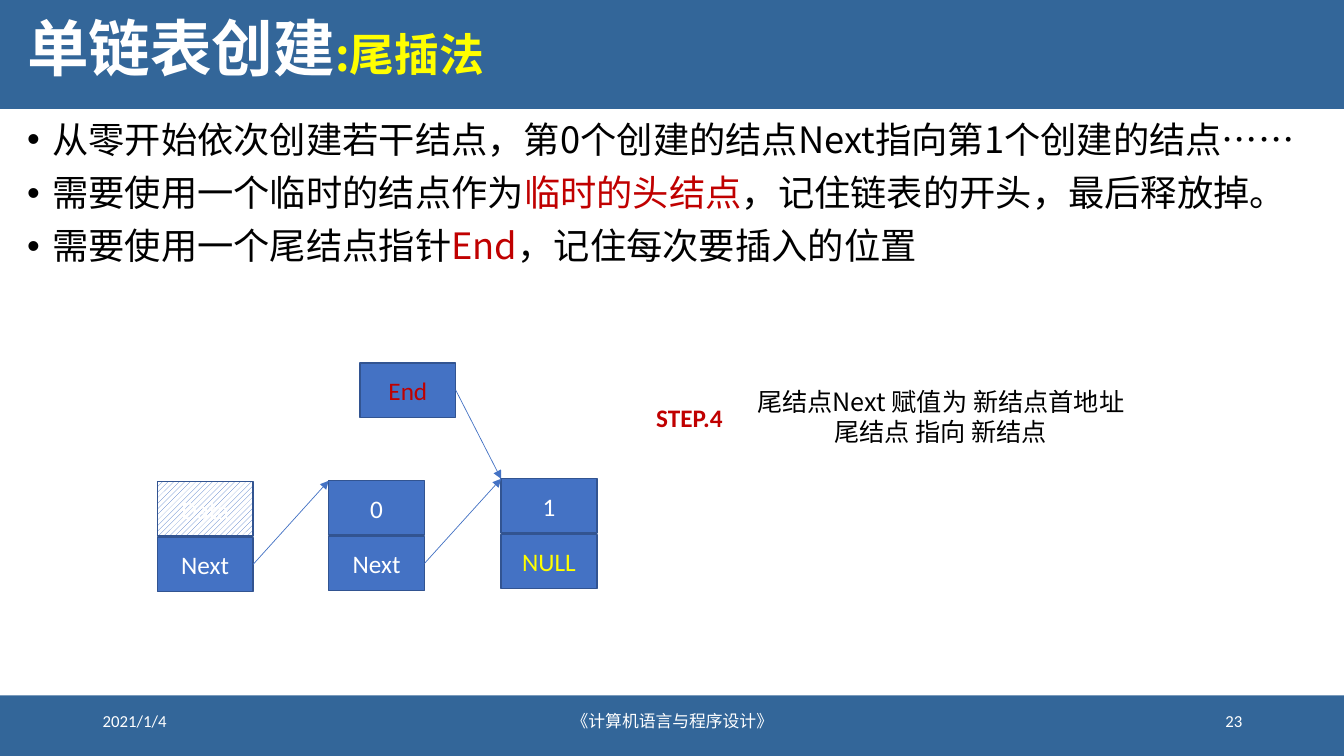
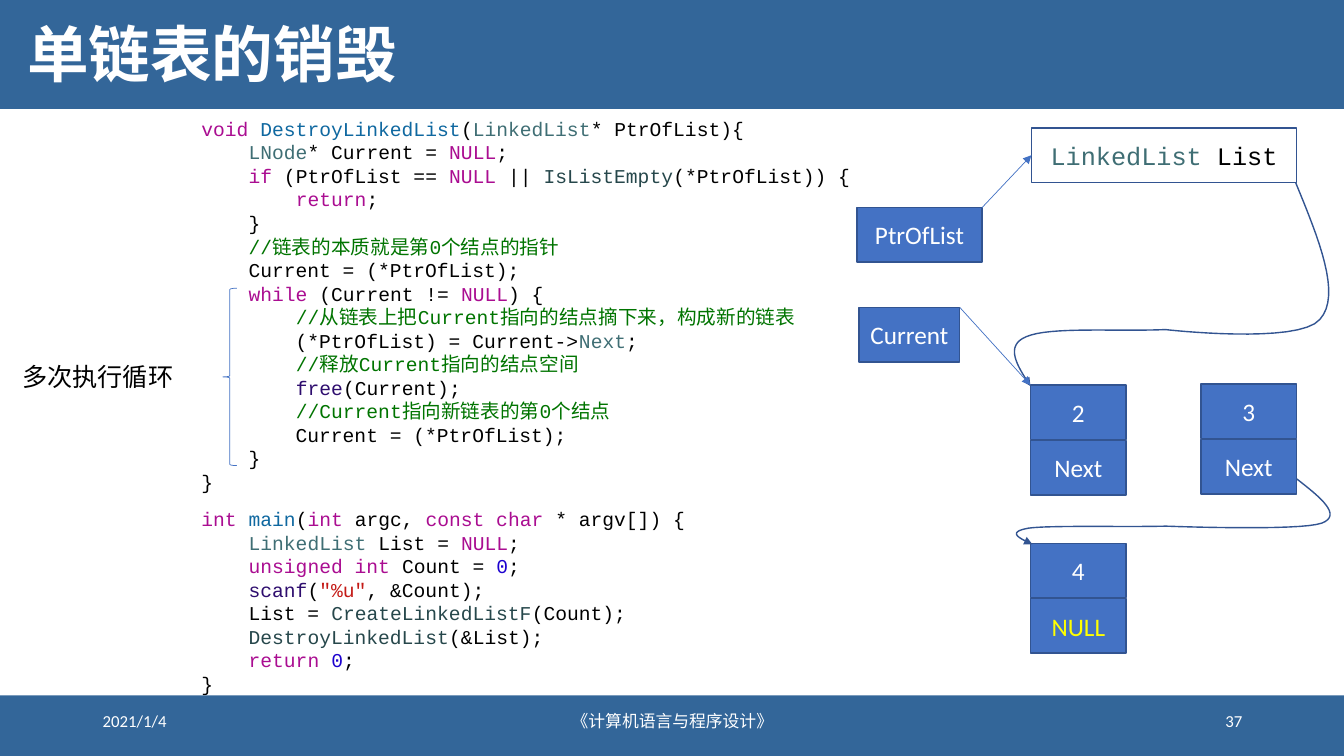
from lxml import etree
from pptx import Presentation
from pptx.dml.color import RGBColor
from pptx.enum.dml import MSO_PATTERN
from pptx.enum.shapes import MSO_CONNECTOR, MSO_SHAPE
from pptx.enum.text import MSO_ANCHOR, PP_ALIGN
from pptx.oxml.ns import qn
from pptx.util import Inches, Pt

STRAIGHT = MSO_CONNECTOR.STRAIGHT
RECTANGLE, LEFT_BRACE = MSO_SHAPE.RECTANGLE, MSO_SHAPE.LEFT_BRACE
DIAGONALS = MSO_PATTERN.WIDE_UPWARD_DIAGONAL
LEFT, CENTER, RIGHT = PP_ALIGN.LEFT, PP_ALIGN.CENTER, PP_ALIGN.RIGHT
TOP, MIDDLE = MSO_ANCHOR.TOP, MSO_ANCHOR.MIDDLE
SIDE_LEFT, SIDE_RIGHT = 1, 3

WIDTH, HEIGHT = 13.33, 7.5
BAND, BLUE, EDGE = "336699", "4472C4", "325491"
WHITE, BLACK, YELLOW, RED = "FFFFFF", "000000", "FFFF00", "C00000"
SANS, CODE, HAN = "Calibri", "Courier New", "Noto Sans CJK SC"
CELL_WIDTH, CELL_HEIGHT = 0.95, 0.54
CELL_STEP = 0.55

KEYWORD, DECLARED, TYPE, CALL = "AA0D91", "0F68A0", "3F6E74", "26474B"
LIBRARY, COMMENT, NUMBER, STRING = "2E0D6E", "007400", "1C00CF", "C41A16"

DATE, COURSE = "2021/1/4", "《计算机语言与程序设计》"

INSERT_TITLE = [("单链表创建", WHITE), (":尾插法", YELLOW, 32)]
INSERT_POINTS = [
    ["从零开始依次创建若干结点，第0个创建的结点Next指向第1个创建的结点……"],
    ["需要使用一个临时的结点作为", ("临时的头结点", RED), "，记住链表的开头，最后释放掉。"],
    ["需要使用一个尾结点指针", ("End", RED), "，记住每次要插入的位置"],
]
INSERT_STEP = [("STEP.4", RED)]
INSERT_NOTE = [["尾结点Next 赋值为 新结点首地址"], ["尾结点 指向 新结点"]]
INSERT_NODES = [
    (1.56, 4.78, "Data", "Next"),
    (3.26, 4.77, "0", "Next"),
    (4.97, 4.75, "1", "NULL"),
]

DESTROY_TITLE = [("单链表的销毁", WHITE)]
DESTROY_LOOP = "多次执行循环"
DESTROY_CODE = [
    [("void ", KEYWORD), ("DestroyLinkedList", DECLARED), "(", ("LinkedList", TYPE),
     "* PtrOfList){"],
    ["    ", ("LNode", TYPE), "* Current = ", ("NULL", KEYWORD), ";"],
    ["    ", ("if", KEYWORD), " (PtrOfList == ", ("NULL", KEYWORD), " || ",
     ("IsListEmpty", CALL), "(*PtrOfList)) {"],
    ["        ", ("return", KEYWORD), ";"],
    ["    }"],
    ["    ", ("//链表的本质就是第0个结点的指针", COMMENT)],
    ["    Current = (*PtrOfList);"],
    ["    ", ("while", KEYWORD), " (Current != ", ("NULL", KEYWORD), ") {"],
    ["        ", ("//从链表上把Current指向的结点摘下来，构成新的链表", COMMENT)],
    ["        (*PtrOfList) = Current->", ("Next", TYPE), ";"],
    ["        ", ("//释放Current指向的结点空间", COMMENT)],
    ["        ", ("free", LIBRARY), "(Current);"],
    ["        ", ("//Current指向新链表的第0个结点", COMMENT)],
    ["        Current = (*PtrOfList);"],
    ["    }"],
    ["}"],
]
MAIN_CODE = [
    [("int ", KEYWORD), ("main", DECLARED), "(", ("int ", KEYWORD), "argc, ",
     ("const char", KEYWORD), " * argv[]) {"],
    ["    ", ("LinkedList", TYPE), " List = ", ("NULL", KEYWORD), ";"],
    ["    ", ("unsigned int", KEYWORD), " Count = ", ("0", NUMBER), ";"],
    ["    ", ("scanf", LIBRARY), "(", ('"%u"', STRING), ", &Count);"],
    ["    List = ", ("CreateLinkedListF", CALL), "(Count);"],
    ["    ", ("DestroyLinkedList", CALL), "(&List);"],
    ["    ", ("return ", KEYWORD), ("0", NUMBER), ";"],
    ["}"],
]
DESTROY_NODES = [
    (10.22, 3.82, "2", "Next"),
    (11.91, 3.81, "3", "Next"),
    (10.22, 5.39, "4", "NULL"),
]
LIST_LABEL = [("LinkedList ", TYPE), "List"]
CURVES = [
    [(12.85, 1.81), (13.08, 2.37), (13.31, 2.93), (13.09, 3.17),
     (12.88, 3.42), (11.56, 3.27), (11.56, 3.27),
     (11.07, 3.29), (10.41, 3.24), (10.18, 3.34),
     (9.96, 3.43), (10.09, 3.63), (10.22, 3.83)],
    [(12.86, 4.75), (13.09, 4.93), (13.32, 5.11), (13.11, 5.19),
     (12.89, 5.27), (11.57, 5.22), (11.57, 5.22),
     (11.09, 5.23), (10.42, 5.21), (10.2, 5.24),
     (9.98, 5.28), (10.11, 5.34), (10.24, 5.4)],
]


def color(value):
    return RGBColor.from_string(value)


def lengths(*values):
    return [Inches(value) for value in values]


def write(frame, paragraphs, font=SANS, size=18, ink=BLACK, bold=False, align=LEFT,
          anchor=TOP, wrap=True, spacing=None, gap=0, bullet=None):
    frame.word_wrap = wrap
    frame.vertical_anchor = anchor
    for index, spans in enumerate(paragraphs):
        para = frame.add_paragraph() if index else frame.paragraphs[0]
        para.alignment = align
        if spacing:
            para.line_spacing = spacing
        if index and gap:
            para.space_before = Pt(gap)
        if bullet:
            properties = para._p.get_or_add_pPr()
            properties.set("marL", str(Inches(0.25)))
            properties.set("indent", str(-Inches(0.25)))
            etree.SubElement(properties, qn("a:buFont")).set("typeface", "Arial")
            etree.SubElement(properties, qn("a:buChar")).set("char", bullet)
        for item in spans:
            words, *style = (item,) if isinstance(item, str) else item
            span = para.add_run()
            span.text = words
            span.font.size = Pt(style[1] if len(style) > 1 else size)
            span.font.bold = bold
            span.font.color.rgb = color(style[0] if style else ink)
            span.font.name = font
            etree.SubElement(span._r.get_or_add_rPr(), qn("a:ea")).set("typeface", HAN)


def add_text(page, area, paragraphs, **style):
    box = page.shapes.add_textbox(*lengths(*area))
    write(box.text_frame, paragraphs, **style)


def add_box(page, area, spans=(), fill=BLUE, line=EDGE, weight=1, kind=RECTANGLE, **style):
    box = page.shapes.add_shape(kind, *lengths(*area))
    box.shadow.inherit = False
    if fill:
        box.fill.solid()
        box.fill.fore_color.rgb = color(fill)
    else:
        box.fill.background()
    if line:
        box.line.color.rgb = color(line)
        box.line.width = Pt(weight)
    else:
        box.line.fill.background()
    if spans:
        write(box.text_frame, [spans], **{"ink": WHITE, "align": CENTER, "anchor": MIDDLE, **style})
    return box


def add_node(page, left, top, data, link):
    cells = []
    for row, label in enumerate((data, link)):
        ink = YELLOW if label == "NULL" else WHITE
        area = (left, top + row * CELL_STEP, CELL_WIDTH, CELL_HEIGHT)
        cells.append(add_box(page, area, [label], ink=ink))
    return cells


def add_head(shape):
    etree.SubElement(shape.line._get_or_add_ln(), qn("a:tailEnd")).set("type", "triangle")


def add_arrow(page, start, end, source=None, target=None):
    arrow = page.shapes.add_connector(STRAIGHT, *lengths(*start, *end))
    if source:
        arrow.begin_connect(source, SIDE_RIGHT)
    if target:
        arrow.end_connect(target, SIDE_LEFT)
    arrow.line.color.rgb = color(BLUE)
    arrow.line.width = Pt(0.5)
    add_head(arrow)
    etree.SubElement(arrow._element.spPr, qn("a:effectLst"))


def bezier(points, share):
    while len(points) > 1:
        points = [tuple(a + (b - a) * share for a, b in zip(first, second))
                  for first, second in zip(points, points[1:])]
    return points[0]


def add_curve(page, points, steps=16):
    outline = [bezier(points[start:start + 4], step / steps)
               for start in range(0, len(points) - 1, 3) for step in range(1, steps + 1)]
    builder = page.shapes.build_freeform(*lengths(*points[0]), scale=1.0)
    builder.add_line_segments([lengths(*point) for point in outline], close=False)
    curve = builder.convert_to_shape()
    curve.shadow.inherit = False
    curve.fill.background()
    curve.line.color.rgb = color(EDGE)
    curve.line.width = Pt(1)
    add_head(curve)


def add_page(deck, title, title_area, number):
    page = deck.slides.add_slide(deck.slide_layouts[6])
    for top, height in ((0, 1.08), (6.9, 0.6)):
        add_box(page, (0, top, WIDTH, height), fill=BAND, line=None)
    footers = ((0.92, 3, DATE, LEFT), (4.42, 4.5, COURSE, CENTER), (9.42, 3, number, RIGHT))
    for left, width, words, align in footers:
        add_text(page, (left, 6.95, width, 0.4), [[words]], size=12, ink=WHITE,
                 align=align, anchor=MIDDLE)
    add_text(page, title_area, [title], font=HAN, size=44, bold=True,
             anchor=MIDDLE, spacing=0.9)
    return page


def build_insert(deck):
    page = add_page(deck, INSERT_TITLE, (0.17, 0, 12.87, 1.03), "23")
    add_text(page, (0.17, 1.16, 12.87, 1.71), INSERT_POINTS, font=HAN, size=25.9,
             spacing=0.9, gap=10, bullet="•")
    nodes = [add_node(page, *node) for node in INSERT_NODES]
    spare = nodes[0][0].fill
    spare.patterned()
    spare.pattern = DIAGONALS
    spare.fore_color.rgb = color(BLUE)
    spare.back_color.rgb = color(WHITE)
    end = add_box(page, (3.57, 3.6, CELL_WIDTH, CELL_HEIGHT), ["End"], ink=RED)
    for (_, link), (left, top, *_) in zip(nodes, INSERT_NODES[1:]):
        add_arrow(page, (0, 0), (left, top), source=link)
    add_arrow(page, (0, 0), INSERT_NODES[-1][:2], source=end)
    add_text(page, (6.41, 3.94, 0.87, 0.4), [INSERT_STEP], bold=True, wrap=False)
    add_text(page, (7.38, 3.78, 3.9, 0.71), INSERT_NOTE, font=HAN, align=CENTER)


def build_destroy(deck):
    page = add_page(deck, DESTROY_TITLE, (0.17, 0.12, 12.32, 0.91), "37")
    add_text(page, (0.12, 3.54, 2.12, 0.4), [[DESTROY_LOOP]])
    add_text(page, (1.9, 1.11, 6.73, 3.87), DESTROY_CODE, font=CODE, size=14)
    add_text(page, (1.9, 4.98, 5.27, 1.99), MAIN_CODE, font=CODE, size=14)
    for node in DESTROY_NODES:
        add_node(page, *node)
    head = add_box(page, (10.23, 1.27, 2.63, CELL_HEIGHT), LIST_LABEL, fill=None,
                   font=CODE, ink=BLACK)
    for points in CURVES:
        add_curve(page, points)
    add_box(page, (8.52, 3.05, 1, CELL_HEIGHT), ["Current"])
    add_box(page, (8.5, 2.06, 1.24, CELL_HEIGHT), ["PtrOfList"])
    add_arrow(page, (9.74, 2.06), (0, 0), target=head)
    add_arrow(page, (9.52, 3.05), DESTROY_NODES[0][:2])
    add_box(page, (2.21, 2.86, 0.14, 1.76), fill=None, line=BLUE, weight=0.5, kind=LEFT_BRACE)


def main():
    deck = Presentation()
    deck.slide_width, deck.slide_height = lengths(WIDTH, HEIGHT)
    build_insert(deck)
    build_destroy(deck)
    deck.save("out.pptx")


if __name__ == "__main__":
    main()
